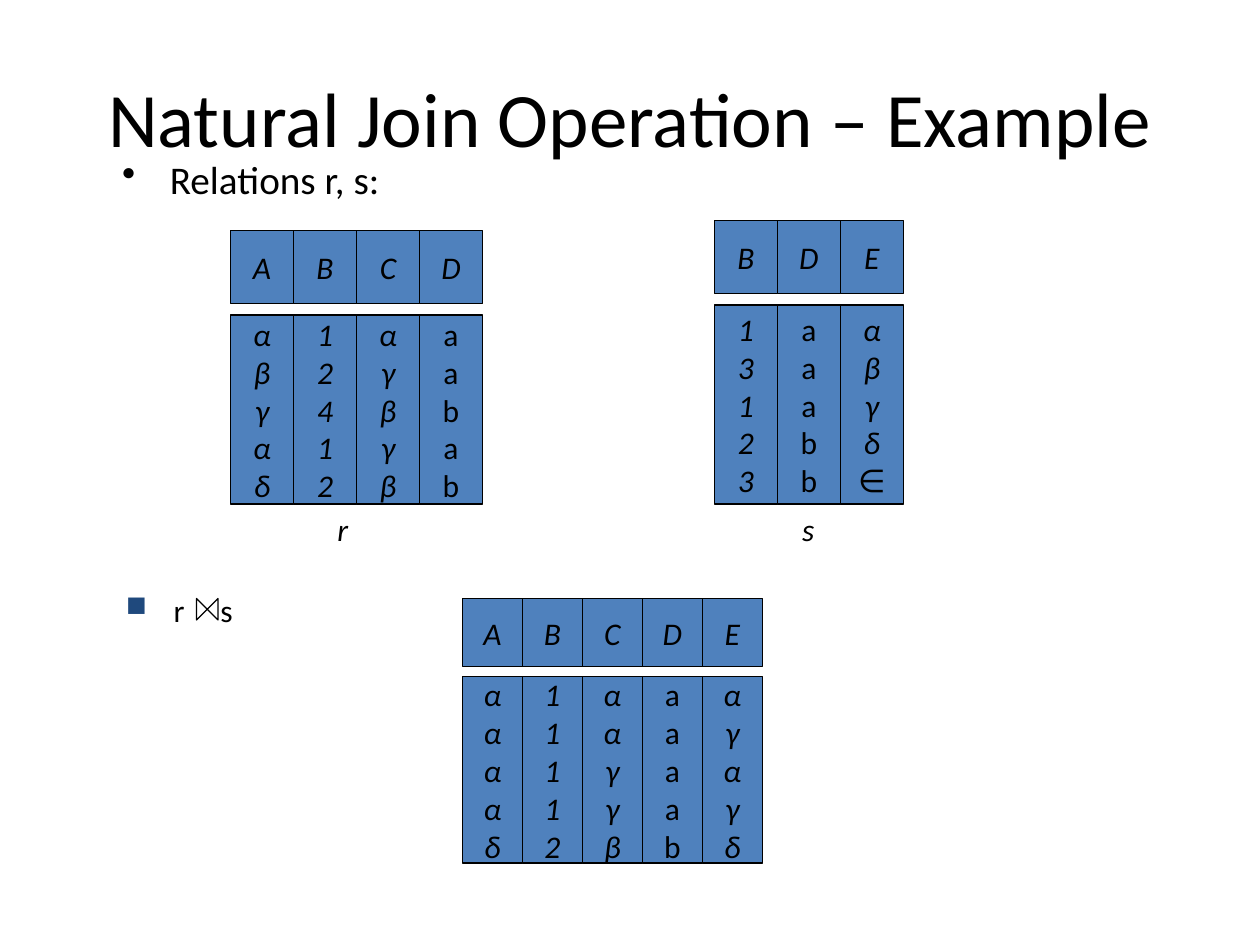
from pptx import Presentation
from pptx.dml.color import RGBColor
from pptx.enum.shapes import MSO_SHAPE
from pptx.enum.text import MSO_ANCHOR, PP_ALIGN
from pptx.oxml.ns import qn
from pptx.util import Inches, Pt
from lxml import etree

BLACK = RGBColor(0x00, 0x00, 0x00)
BLUE = RGBColor(0x4F, 0x81, 0xBD)
NAVY = RGBColor(0x1F, 0x49, 0x7D)
RECTANGLE, COLLATE = MSO_SHAPE.RECTANGLE, MSO_SHAPE.FLOWCHART_COLLATE
CENTER, LEFT = PP_ALIGN.CENTER, PP_ALIGN.LEFT
MIDDLE, TOP = MSO_ANCHOR.MIDDLE, MSO_ANCHOR.TOP


class SlideBuilder:
    font_name = "Calibri"
    body_size = 18
    line_width = Pt(0.75)
    bullet_indent = Inches(0.38)

    def __init__(self, page):
        self.page = page

    def style(self, para, size, italic=False, align=CENTER):
        para.alignment = align
        para.font.name = self.font_name
        para.font.size = Pt(size)
        para.font.italic = italic
        para.font.color.rgb = BLACK

    def text(self, left, top, width, height, words, size=body_size,
             italic=False, wrap=True):
        box = self.page.shapes.add_textbox(
            Inches(left), Inches(top), Inches(width), Inches(height))
        frame = box.text_frame
        frame.word_wrap = wrap
        frame.vertical_anchor = MIDDLE
        frame.text = words
        self.style(frame.paragraphs[0], size, italic)
        return box

    def bullet(self, left, top, width, height, words, mark, size=body_size,
               color=BLACK, scale=100):
        """Add a one-line bullet and return its paragraph; words are runs."""
        box = self.text(left, top, width, height, "", size)
        box.text_frame.vertical_anchor = TOP
        para = box.text_frame.paragraphs[0]
        props = para._p.get_or_add_pPr()
        props.set("marL", str(self.bullet_indent))
        props.set("indent", str(-self.bullet_indent))
        bullet_color = etree.Element(qn("a:buClr"))
        etree.SubElement(bullet_color, qn("a:srgbClr"), val=str(color))
        bullet_size = etree.Element(qn("a:buSzPct"), val=str(scale * 1000))
        bullet_mark = etree.Element(qn("a:buChar"), char=mark)
        for place, item in enumerate((bullet_color, bullet_size, bullet_mark)):
            props.insert(place, item)
        for word in words:
            para.add_run().text = word
        self.style(para, size, align=LEFT)
        return para

    def shape(self, kind, left, top, width, height, fill=None):
        shape = self.page.shapes.add_shape(
            kind, Inches(left), Inches(top), Inches(width), Inches(height))
        shape.shadow.inherit = False
        if fill is None:
            shape.fill.background()
        else:
            shape.fill.solid()
            shape.fill.fore_color.rgb = fill
        shape.line.color.rgb = BLACK
        shape.line.width = self.line_width
        return shape

    def cell(self, left, top, width, height, lines, italic=True):
        frame = self.shape(RECTANGLE, left, top, width, height, BLUE).text_frame
        frame.word_wrap = False
        frame.vertical_anchor = MIDDLE
        frame.text = "\n".join(lines)
        for para in frame.paragraphs:
            self.style(para, self.body_size, italic)

    def relation(self, left, width, head_top, head_height, body_top,
                 body_height, columns):
        """Draw a heading cell above a cell of values for each attribute."""
        for index, (name, values) in enumerate(columns):
            x = left + index * width
            self.cell(x, head_top, width, head_height, name)
            self.cell(x, body_top, width, body_height, values,
                      italic=name != "D")


def main():
    deck = Presentation()
    deck.slide_width, deck.slide_height = Inches(10), Inches(7.5)
    builder = SlideBuilder(deck.slides.add_slide(deck.slide_layouts[6]))

    # Title and first bullet
    builder.text(0.5, 0.3, 9, 1.25, "Natural Join Operation – Example", 44)
    builder.bullet(0.87, 1.18, 7.48, 0.42, ["Relations r, s:"], "•", 22.4)

    # Source relations
    builder.relation(1.83, 0.5, 1.83, 0.58, 2.5, 1.5, [
        ("A", "αβγαδ"), ("B", "12412"), ("C", "αγβγβ"), ("D", "aabab")])
    builder.relation(5.67, 0.5, 1.75, 0.58, 2.42, 1.58, [
        ("B", "13123"), ("D", "aaabb"), ("E", "αβγδ∈")])
    builder.text(2.58, 4, 0.28, 0.4, "r", italic=True, wrap=False)
    builder.text(6.25, 4, 0.33, 0.4, "s", italic=True, wrap=False)

    # Joined relation
    builder.relation(3.67, 0.476, 4.75, 0.54, 5.37, 1.48, [
        ("A", "ααααδ"), ("B", "11112"), ("C", "ααγγβ"), ("D", "aaaab"),
        ("E", "αγαγδ")])

    # Join expression: a widened space leaves room for the bowtie
    join = builder.bullet(0.9, 4.64, 7.69, 0.45, ["r", " ", "s"], "■",
                          color=NAVY, scale=90)
    join.runs[1].font._element.set("spc", "1630")
    bowtie = builder.shape(COLLATE, 1.56, 4.75, 0.17, 0.17)
    bowtie.rotation = 270

    deck.save("out.pptx")


if __name__ == "__main__":
    main()
